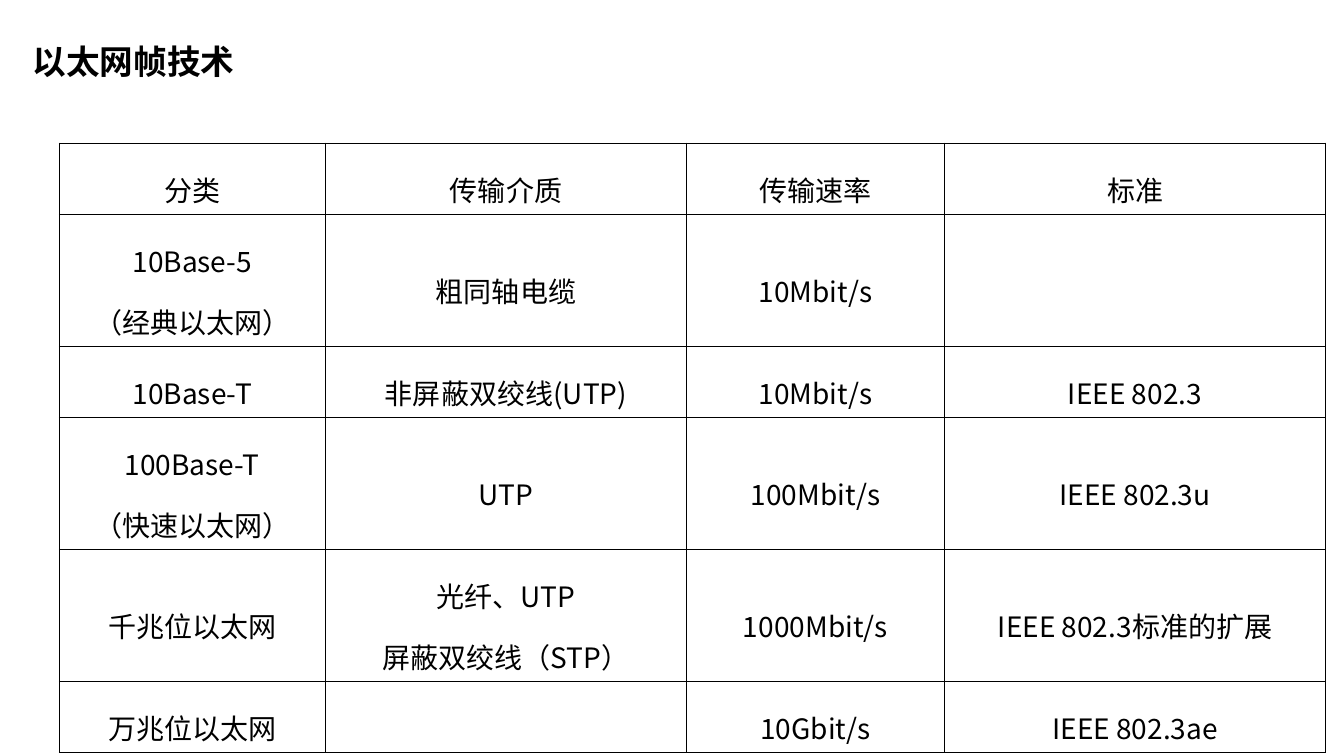
import dataclasses

import pptx
import pptx.dml.color
import pptx.enum.text
import pptx.oxml
import pptx.oxml.ns
import pptx.slide
import pptx.table
import pptx.text.text
import pptx.util

BLACK = pptx.dml.color.RGBColor(0x00, 0x00, 0x00)
FONT = "Noto Sans CJK SC"
SLIDE_WIDTH = pptx.util.Inches(13.33)
SLIDE_HEIGHT = pptx.util.Inches(7.5)
BORDER_WIDTH = pptx.util.Pt(1)
LINE_SHARE = 8.07
CELL_MARGINS_SHARE = 1.33
COLUMN_SHARES = (19.77, 26.91, 19.15, 28.4)


@dataclasses.dataclass(frozen=True)
class Area:
    """A place on the slide, in percent of its width and height."""

    left: float
    top: float
    width: float
    height: float


@dataclasses.dataclass(frozen=True)
class Ethernet:
    """One table row; each column holds its lines of text."""

    category: tuple[str, ...]
    medium: tuple[str, ...]
    rate: tuple[str, ...]
    standard: tuple[str, ...]

    def height_share(self) -> float:
        line_count = max(len(lines) for lines in dataclasses.astuple(self))
        return line_count * LINE_SHARE + CELL_MARGINS_SHARE


ROWS = (
    Ethernet(("分类",), ("传输介质",), ("传输速率",), ("标准",)),
    Ethernet(("10Base-5", "（经典以太网）"), ("粗同轴电缆",), ("10Mbit/s",), ()),
    Ethernet(("10Base-T",), ("非屏蔽双绞线(UTP)",), ("10Mbit/s",), ("IEEE 802.3",)),
    Ethernet(("100Base-T", "（快速以太网）"), ("UTP",), ("100Mbit/s",), ("IEEE 802.3u",)),
    Ethernet(("千兆位以太网",), ("光纤、UTP", "屏蔽双绞线（STP）"), ("1000Mbit/s",),
             ("IEEE 802.3标准的扩展",)),
    Ethernet(("万兆位以太网",), (), ("10Gbit/s",), ("IEEE 802.3ae",)),
)
TITLE_AREA = Area(1.68, 3.2, 82.07, 7.6)
TABLE_AREA = Area(4.43, 18.93, sum(COLUMN_SHARES),
                  sum(ethernet.height_share() for ethernet in ROWS))


def across(share: float) -> int:
    return round(SLIDE_WIDTH * share / 100)


def down(share: float) -> int:
    return round(SLIDE_HEIGHT * share / 100)


def add_span(para: pptx.text.text._Paragraph, text: str, size: float, bold: bool) -> None:
    span = para.add_run()
    span.text = text
    span.font.size = pptx.util.Pt(size)
    span.font.bold = bold
    span.font.color.rgb = BLACK
    span.font.name = FONT
    east_asian = pptx.oxml.parse_xml(
        f'<a:ea {pptx.oxml.ns.nsdecls("a")} typeface="{FONT}"/>')
    span.font._element.append(east_asian)


def add_borders(cell: pptx.table._Cell) -> None:
    properties = cell._tc.get_or_add_tcPr()
    for side in ("lnL", "lnR", "lnT", "lnB"):
        properties.append(pptx.oxml.parse_xml(
            f'<a:{side} {pptx.oxml.ns.nsdecls("a")} w="{BORDER_WIDTH}">'
            f'<a:solidFill><a:srgbClr val="{BLACK}"/></a:solidFill></a:{side}>'))


def fill_cell(cell: pptx.table._Cell, lines: tuple[str, ...]) -> None:
    add_borders(cell)
    cell.fill.background()
    cell.vertical_anchor = pptx.enum.text.MSO_ANCHOR.MIDDLE
    frame = cell.text_frame
    for index, line in enumerate(lines):
        para = frame.add_paragraph() if index else frame.paragraphs[0]
        para.alignment = pptx.enum.text.PP_ALIGN.CENTER
        para.line_spacing = 1.5
        add_span(para, line, 20, False)


def add_title(page: pptx.slide.Slide, text: str) -> None:
    box = page.shapes.title
    box.left, box.top = across(TITLE_AREA.left), down(TITLE_AREA.top)
    box.width, box.height = across(TITLE_AREA.width), down(TITLE_AREA.height)
    frame = box.text_frame
    frame.word_wrap = True
    frame.auto_size = pptx.enum.text.MSO_AUTO_SIZE.SHAPE_TO_FIT_TEXT
    frame.vertical_anchor = pptx.enum.text.MSO_ANCHOR.TOP
    para = frame.paragraphs[0]
    para.alignment = pptx.enum.text.PP_ALIGN.LEFT
    para.line_spacing = pptx.util.Pt(37)
    add_span(para, text, 24, True)


def add_ethernet_table(page: pptx.slide.Slide) -> None:
    table = page.shapes.add_table(
        len(ROWS), len(COLUMN_SHARES),
        across(TABLE_AREA.left), down(TABLE_AREA.top),
        across(TABLE_AREA.width), down(TABLE_AREA.height)).table
    table.first_row = False
    table.horz_banding = False
    for column, share in zip(table.columns, COLUMN_SHARES):
        column.width = across(share)
    for row, ethernet in zip(table.rows, ROWS):
        row.height = down(ethernet.height_share())
        for cell, lines in zip(row.cells, dataclasses.astuple(ethernet)):
            fill_cell(cell, lines)


def main() -> None:
    deck = pptx.Presentation()
    deck.slide_width, deck.slide_height = SLIDE_WIDTH, SLIDE_HEIGHT
    page = deck.slides.add_slide(deck.slide_layouts.get_by_name("Title Only"))
    add_title(page, "以太网帧技术")
    add_ethernet_table(page)
    deck.save("out.pptx")


if __name__ == "__main__":
    main()
